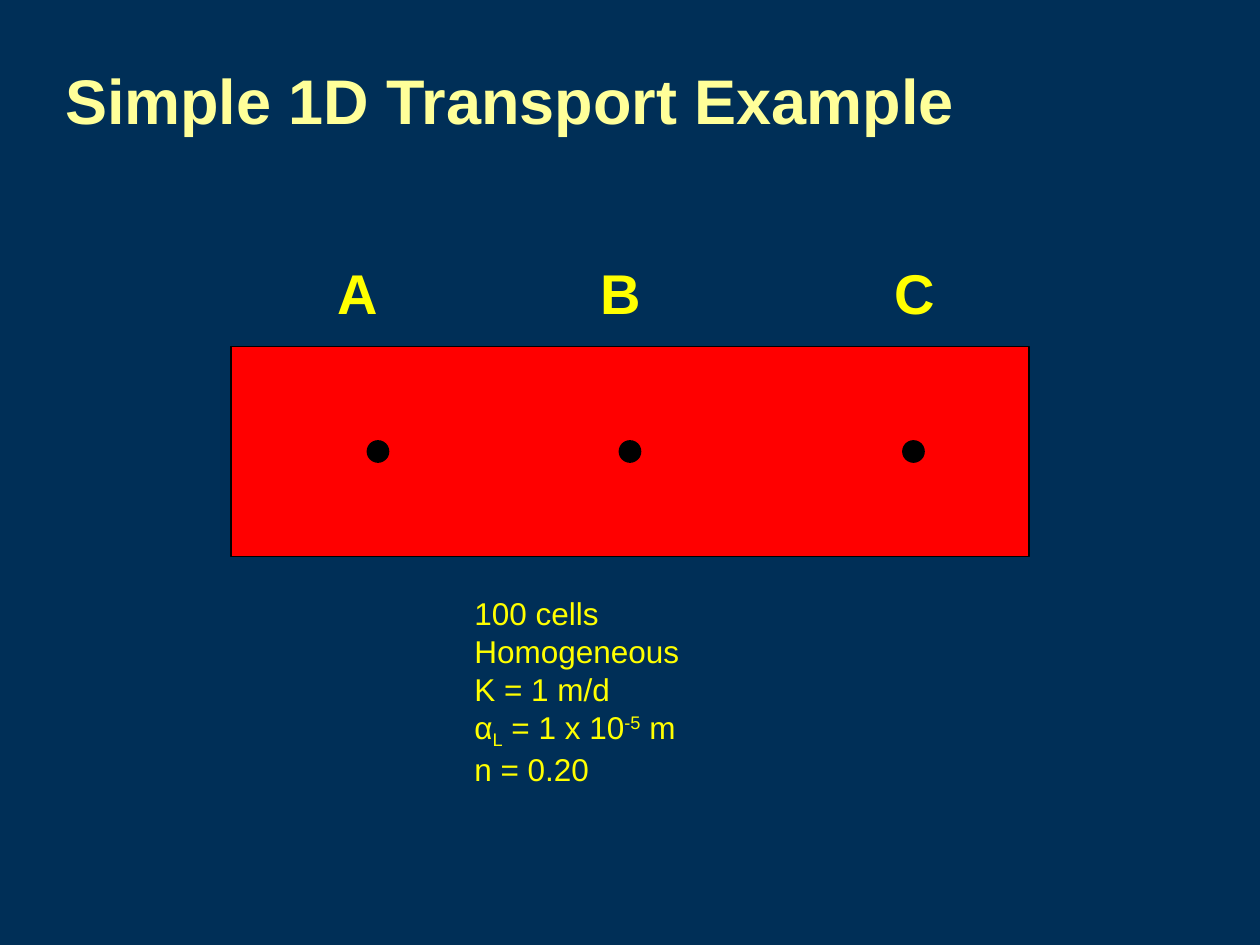
from pptx import Presentation
from pptx.dml.color import RGBColor
from pptx.enum import shapes, text
from pptx.util import Pt

# Content: lengths in points
TITLE = "Simple 1D Transport Example"
POINTS = [  # name, label left, dot left
    ("A", 186, 210),
    ("B", 336, 354),
    ("C", 504, 516),
]
PARAMETERS = [  # lines of (text, baseline shift in percent)
    [("100 cells", 0)],
    [("Homogeneous", 0)],
    [("K = 1 m/d", 0)],
    [("α", 0), ("L", -25), (" = 1 x 10", 0), ("-5", 30), (" m", 0)],
    [("n = 0.20", 0)],
]
NAVY, CREAM, YELLOW, RED, BLACK = "002F57", "FFFF99", "FFFF00", "FF0000", "000000"
COLUMN = (132, 198, 456, 120)
DOT_TOP, DOT_SIZE = 252, 12


def paint(color_format, value):
    color_format.rgb = RGBColor.from_string(value)


def add_run(p, words, size, color, bold=False, baseline=0):
    r = p.add_run()
    r.text = words
    r.font.name, r.font.size, r.font.bold = "Arial", Pt(size), bold
    paint(r.font.color, color)
    if baseline:
        r._r.get_or_add_rPr().set("baseline", str(baseline * 1000))


def add_filled(s, kind, box, fill):
    sp = s.shapes.add_shape(kind, *map(Pt, box))
    sp.shadow.inherit = False
    sp.fill.solid()
    paint(sp.fill.fore_color, fill)
    paint(sp.line.color, BLACK)
    sp.line.width = Pt(1)


def add_text(s, box, lines, size, bold=False):
    tf = s.shapes.add_textbox(*map(Pt, box)).text_frame
    tf.word_wrap = False
    tf.auto_size = text.MSO_AUTO_SIZE.SHAPE_TO_FIT_TEXT
    for i, line in enumerate(lines):
        p = tf.add_paragraph() if i else tf.paragraphs[0]
        for words, baseline in line:
            add_run(p, words, size, YELLOW, bold, baseline)


prs = Presentation()
prs.slide_width, prs.slide_height = Pt(720), Pt(540)
s = prs.slides.add_slide(prs.slide_layouts[5])
s.background.fill.solid()
paint(s.background.fill.fore_color, NAVY)

# Title
title = s.shapes.title
title.left, title.top, title.width, title.height = map(Pt, (30, 12, 654, 90))
tf = title.text_frame
tf.vertical_anchor = text.MSO_ANCHOR.MIDDLE
p = tf.paragraphs[0]
p.alignment = text.PP_ALIGN.LEFT
add_run(p, TITLE, 36, CREAM, bold=True)

# Column with its observation points
add_filled(s, shapes.MSO_SHAPE.RECTANGLE, COLUMN, RED)
for name, label_left, dot_left in POINTS:
    add_filled(s, shapes.MSO_SHAPE.OVAL, (dot_left, DOT_TOP, DOT_SIZE, DOT_SIZE), BLACK)
    add_text(s, (label_left, 144, 38, 46), [[(name, 0)]], 32, bold=True)

# Model parameters
add_text(s, (264, 336, 133, 117), PARAMETERS, 18)

prs.save("out.pptx")
